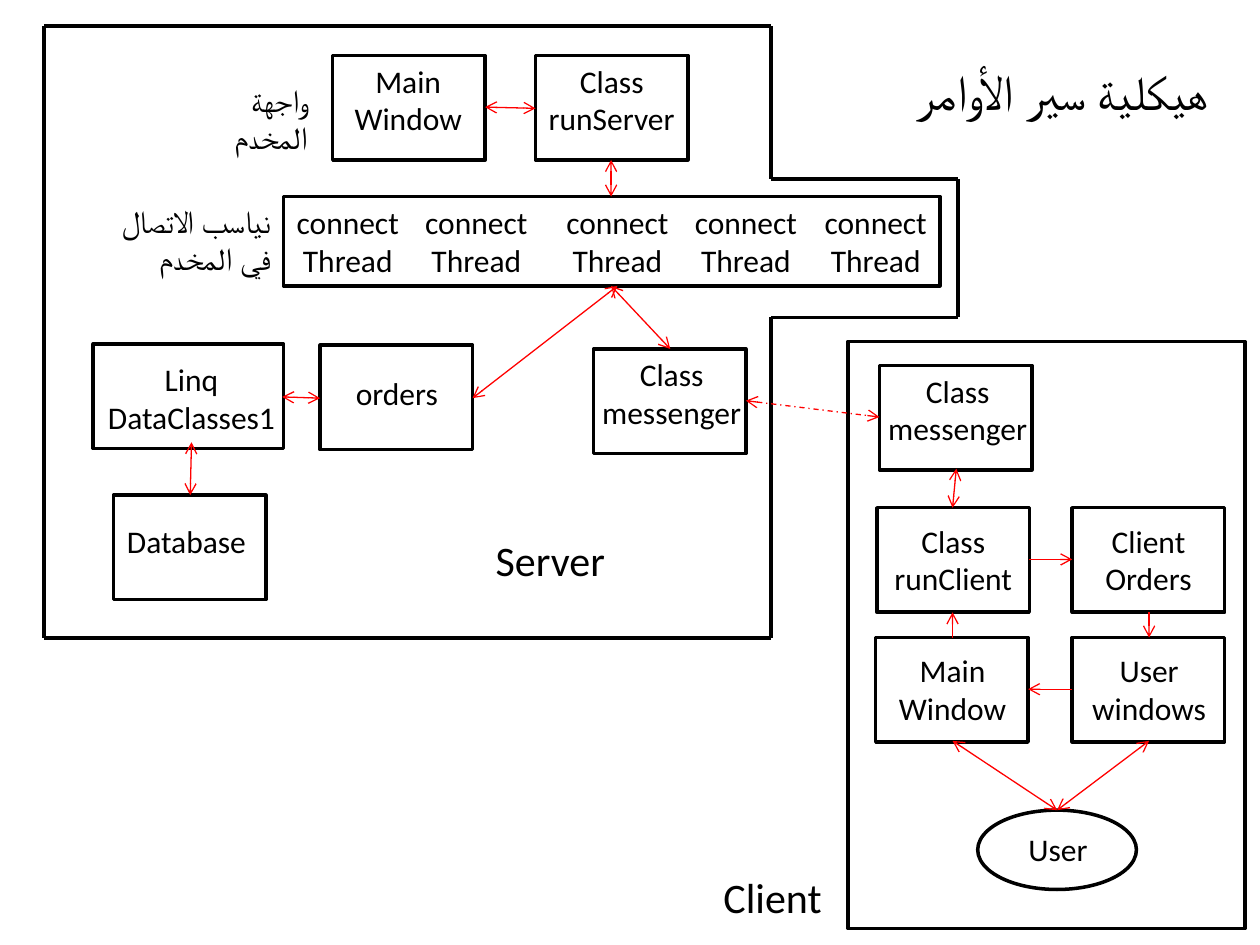
from dataclasses import dataclass
from itertools import pairwise

from lxml.etree import SubElement
from pptx import Presentation
from pptx.dml.color import RGBColor
from pptx.enum.dml import MSO_LINE_DASH_STYLE as Dash
from pptx.enum.shapes import MSO_CONNECTOR, MSO_SHAPE
from pptx.enum.text import MSO_AUTO_SIZE, PP_ALIGN
from pptx.oxml.ns import qn
from pptx.util import Inches, Pt


@dataclass(frozen=True)
class Theme:
    ink: RGBColor = RGBColor(0, 0, 0)
    arrow: RGBColor = RGBColor(255, 0, 0)
    font: str = "Calibri"
    body: int = 18
    heading: int = 24
    title: int = 28
    box_line: float = 2
    border_line: float = 2.25
    arrow_line: float = 0.75


@dataclass(frozen=True)
class Box:
    left: float
    top: float
    width: float = 1.21
    height: float = 0.83
    kind: MSO_SHAPE = MSO_SHAPE.RECTANGLE


@dataclass(frozen=True)
class Label:
    text: str
    left: float
    top: float
    width: float
    height: float = 0.71
    size: int = Theme.body
    align: PP_ALIGN = PP_ALIGN.CENTER


@dataclass(frozen=True)
class Arrow:
    start: tuple[float, float]
    end: tuple[float, float]
    both: bool = True
    dash: Dash | None = None


theme = Theme()
RIGHT = PP_ALIGN.RIGHT

deck = Presentation()
deck.slide_width, deck.slide_height = Inches(10), Inches(7.5)
page = deck.slides.add_slide(deck.slide_layouts[6])


def draw_box(box: Box) -> None:
    shape = page.shapes.add_shape(
        box.kind, Inches(box.left), Inches(box.top), Inches(box.width), Inches(box.height))
    shape.shadow.inherit = False
    shape.fill.background()
    shape.line.color.rgb = theme.ink
    shape.line.width = Pt(theme.box_line)


def draw_label(label: Label) -> None:
    box = page.shapes.add_textbox(
        Inches(label.left), Inches(label.top), Inches(label.width), Inches(label.height))
    frame = box.text_frame
    frame.word_wrap = False
    frame.auto_size = MSO_AUTO_SIZE.SHAPE_TO_FIT_TEXT
    para = frame.paragraphs[0]
    para.text = label.text
    para.alignment = label.align
    para.font.name = theme.font
    para.font.size = Pt(label.size)
    para.font.color.rgb = theme.ink
    para._p.get_or_add_pPr().set("rtl", "1")


def draw_line(start: tuple[float, float], end: tuple[float, float],
              color: RGBColor, width: float):
    line = page.shapes.add_connector(
        MSO_CONNECTOR.STRAIGHT, *(Inches(value) for value in (*start, *end)))
    line.line.color.rgb = color
    line.line.width = Pt(width)
    SubElement(line._element.spPr, qn("a:effectLst"))
    return line


def draw_arrow(arrow: Arrow) -> None:
    line = draw_line(arrow.start, arrow.end, theme.arrow, theme.arrow_line)
    if arrow.dash is not None:
        line.line.dash_style = arrow.dash
    outline = line.line._get_or_add_ln()
    for tag in ("a:headEnd", "a:tailEnd") if arrow.both else ("a:tailEnd",):
        SubElement(outline, qn(tag), type="arrow")


# Server border, client frame and component boxes
server_corners = [(6.12, 0.21), (0.35, 0.21), (0.35, 5.06), (6.12, 5.06), (6.12, 2.52),
                  (7.6, 2.52), (7.6, 1.42), (6.12, 1.42), (6.12, 0.21)]
boxes = [
    Box(2.64, 0.44), Box(4.25, 0.44),
    Box(2.25, 1.56, 5.21, 0.71),
    Box(0.74, 2.73, 1.51), Box(2.54, 2.74), Box(4.71, 2.77),
    Box(0.9, 3.93),
    Box(6.73, 2.71, 3.15, 4.66),
    Box(6.98, 2.9),
    Box(6.96, 4.03), Box(8.51, 4.03),
    Box(6.95, 5.06), Box(8.51, 5.06),
    Box(7.76, 6.43, 1.26, 0.63, MSO_SHAPE.OVAL),
]

# Captions
labels = [
    Label("هيكلية سير الأوامر", 7.13, 0.44, 2.56, 0.57, theme.title, RIGHT),
    Label("واجهة المخدم", 1.27, 0.59, 1.27, 0.4, align=RIGHT),
    Label("نياسب الاتصال \nفي المخدم", 0.76, 1.55, 1.49, align=RIGHT),
    Label("Main\nWindow", 2.71, 0.44, 1.06),
    Label("Class\nrunServer", 4.25, 0.44, 1.21),
    *(Label("connect\nThread", left, 1.56, 1.02) for left in (2.25, 3.27, 4.39, 5.41, 6.44)),
    Label("Linq\nDataClasses1", 0.75, 2.81, 1.54),
    Label("orders", 2.72, 2.92, 0.86, 0.4),
    Label("Class\nmessenger", 4.67, 2.77, 1.32),
    Label("Database", 0.9, 4.09, 1.16, 0.4),
    Label("Server", 3.82, 4.19, 1.08, 0.5, theme.heading, RIGHT),
    Label("Class\nmessenger", 6.94, 2.9, 1.32),
    Label("Class\nrunClient", 6.99, 4.09, 1.15),
    Label("Client\nOrders", 8.67, 4.09, 0.89),
    Label("Main\nWindow", 7.03, 5.12, 1.06),
    Label("User\nwindows", 8.56, 5.12, 1.12),
    Label("User", 8.05, 6.54, 0.68, 0.4, align=RIGHT),
    Label("Client", 5.63, 6.87, 0.99, 0.5, theme.heading, RIGHT),
]

# Message flow
arrows = [
    Arrow((3.85, 0.85), (4.25, 0.86)),
    Arrow((4.85, 1.27), (4.85, 1.56)),
    Arrow((4.85, 2.27), (5.32, 2.77)),
    Arrow((4.9, 2.27), (3.75, 3.16)),
    Arrow((2.24, 3.15), (2.54, 3.16)),
    Arrow((1.52, 3.51), (1.51, 3.93)),
    Arrow((5.92, 3.18), (6.98, 3.31), dash=Dash.DASH_DOT),
    Arrow((7.56, 4.03), (7.59, 3.72)),
    Arrow((8.17, 4.44), (8.51, 4.44), both=False),
    Arrow((9.12, 4.86), (9.12, 5.06), both=False),
    Arrow((8.51, 5.47), (8.16, 5.47), both=False),
    Arrow((7.56, 5.06), (7.56, 4.86), both=False),
    Arrow((8.39, 6.43), (9.12, 5.88)),
    Arrow((8.39, 6.43), (7.56, 5.88)),
]

for corner, following in pairwise(server_corners):
    draw_line(corner, following, theme.ink, theme.border_line)
for item in boxes:
    draw_box(item)
for item in labels:
    draw_label(item)
for item in arrows:
    draw_arrow(item)

deck.save("out.pptx")
